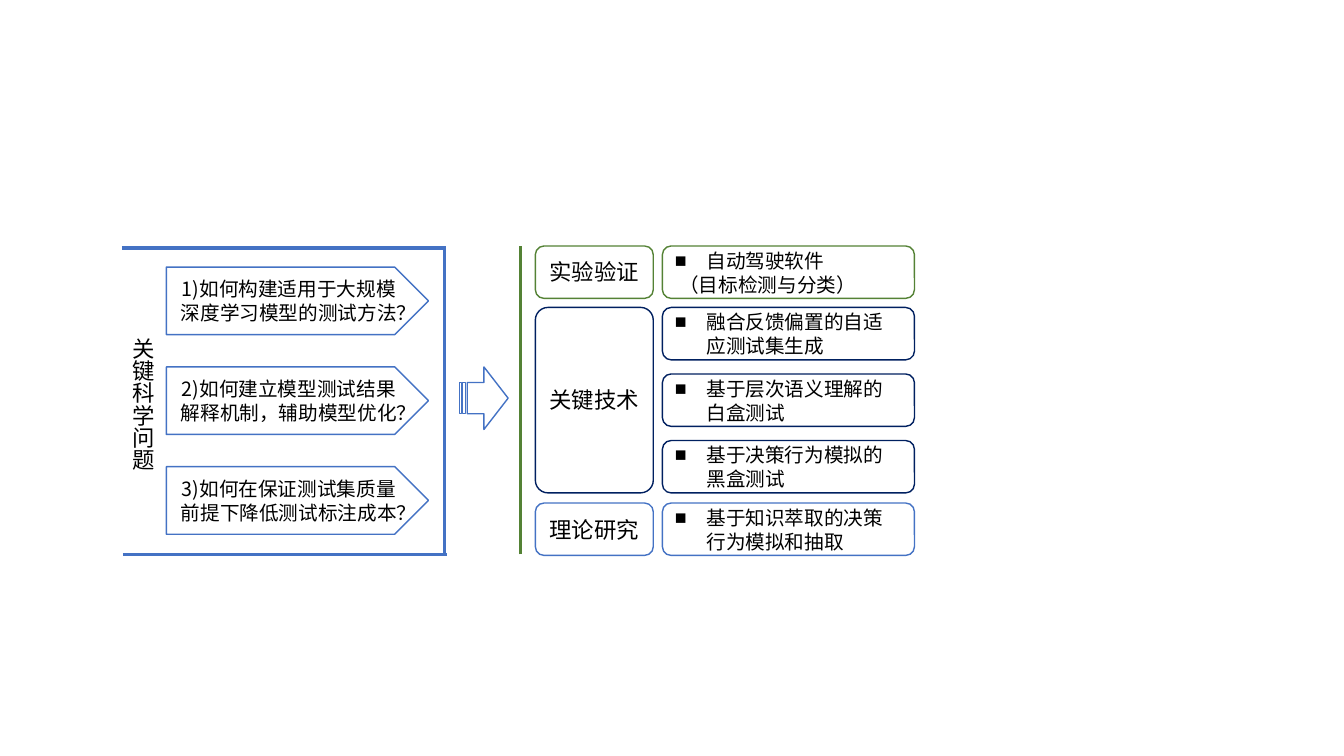
from pptx import Presentation
from pptx.dml.color import RGBColor
from pptx.enum.shapes import MSO_CONNECTOR as Conn, MSO_SHAPE as Kind
from pptx.enum.text import MSO_ANCHOR as Anchor, MSO_AUTO_SIZE as Fit, PP_ALIGN as Align
from pptx.oxml.ns import qn
from pptx.util import Inches, Pt
from lxml.etree import SubElement

FONT = "Noto Sans CJK SC"
BLUE, NAVY, GREEN = "4472C4", "002060", "548235"
TOP, BASE = 2.44, 5.5
ROW = 0.52
NAME_X, NAME_W = 5.31, 1.17
ITEM_X, ITEM_W = 6.57, 2.5

ASKS = [
    "1)如何构建适用于大规模深度学习模型的测试方法？",
    "2)如何建立模型测试结果解释机制，辅助模型优化？",
    "3)如何在保证测试集质量前提下降低测试标注成本？",
]
# name, colour, top, items
LAYERS = [
    ("实验验证", GREEN, TOP, [["自动驾驶软件", " （目标检测与分类）"]]),
    ("关键技术", NAVY, 3.05, [["融合反馈偏置的自适应测试集生成"],
                          ["基于层次语义理解的白盒测试"],
                          ["基于决策行为模拟的黑盒测试"]]),
    ("理论研究", BLUE, 4.99, [["基于知识萃取的决策行为模拟和抽取"]]),
]
STEP = 0.66


def color(code):
    return RGBColor.from_string(code)


def write(par, text, size, align):
    par.alignment = align
    par.line_spacing = Pt(round(size * 1.2))
    run = par.add_run()
    run.text = text
    for key, val in {"size": Pt(size), "name": FONT}.items():
        setattr(run.font, key, val)
    run.font.color.rgb = color("000000")
    SubElement(run.font._element, qn("a:ea")).set("typeface", FONT)


def bullet(par):
    props = par._p.get_or_add_pPr()
    gap = Pt(22.5)
    props.set("marL", str(gap))
    props.set("indent", str(-gap))
    SubElement(props, qn("a:buFont")).set("typeface", "Arial")
    SubElement(props, qn("a:buChar")).set("char", "■")


def box(slide, kind, area, edge, lines=(), size=14, align=Align.CENTER):
    shape = slide.shapes.add_shape(kind, *map(Inches, area))
    shape.shadow.inherit = False
    shape.fill.solid()
    shape.fill.fore_color.rgb = color("FFFFFF")
    shape.line.color.rgb = color(edge)
    shape.line.width = Pt(1)
    frame = shape.text_frame
    frame.word_wrap = True
    frame.vertical_anchor = Anchor.MIDDLE
    for i, text in enumerate(lines):
        par = frame.add_paragraph() if i else frame.paragraphs[0]
        write(par, text, size, align)
    return shape


def rule(slide, x1, y1, x2, y2, hue):
    line = slide.shapes.add_connector(Conn.STRAIGHT, *map(Inches, (x1, y1, x2, y2)))
    line.line.color.rgb = color(hue)
    line.line.width = Pt(2.25)
    SubElement(line._element.spPr, qn("a:effectLst"))


def title(slide, text, area):
    """Add a heading that reads downwards."""
    frame = slide.shapes.add_textbox(*map(Inches, area)).text_frame
    frame.word_wrap = False
    frame.auto_size = Fit.SHAPE_TO_FIT_TEXT
    frame._txBody.bodyPr.set("vert", "eaVert")
    write(frame.paragraphs[0], text, 16, Align.LEFT)


def layer(slide, name, hue, top, items):
    """Add a named box with its column of items."""
    tall = ROW + STEP * (len(items) - 1)
    head = box(slide, Kind.ROUNDED_RECTANGLE, (NAME_X, top, NAME_W, tall), hue, [name], 16)
    if len(items) > 1:
        head.adjustments[0] = 0.107
    for i, lines in enumerate(items):
        area = (ITEM_X, top + i * STEP, ITEM_W, ROW)
        item = box(slide, Kind.ROUNDED_RECTANGLE, area, hue, lines, align=Align.LEFT)
        bullet(item.text_frame.paragraphs[0])


def main():
    deck = Presentation()
    deck.slide_width, deck.slide_height = Inches(13.33), Inches(7.5)
    slide = deck.slides.add_slide(deck.slide_layouts[6])

    for i, ask in enumerate(ASKS):
        box(slide, Kind.PENTAGON, (1.65, 2.65 + i * 0.99, 2.6, 0.67), BLUE, [ask])
    title(slide, "关键科学问题", (1.13, 3.25, 0.47, 1.45))

    rule(slide, 1.21, 2.46, 4.41, 2.46, BLUE)
    rule(slide, 4.41, BASE, 4.41, TOP, BLUE)
    rule(slide, 1.22, BASE, 4.43, BASE, BLUE)
    box(slide, Kind.STRIPED_RIGHT_ARROW, (4.56, 3.64, 0.48, 0.62), BLUE)
    rule(slide, 5.16, BASE, 5.16, TOP, GREEN)

    for args in LAYERS:
        layer(slide, *args)
    deck.save("out.pptx")


if __name__ == "__main__":
    main()
